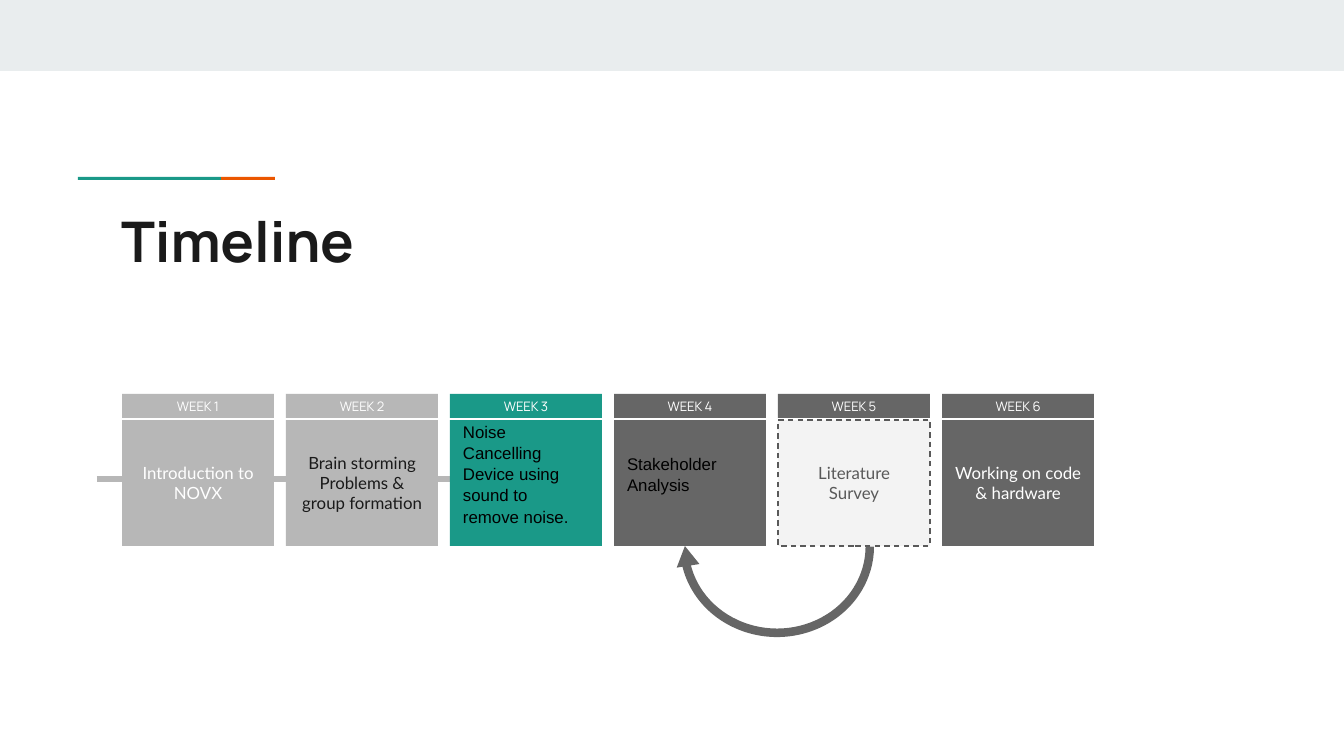
import dataclasses

import pptx
import pptx.dml.color
import pptx.enum.dml
import pptx.enum.shapes
import pptx.enum.text
import pptx.oxml.ns
import pptx.util
from lxml import etree

SHAPE = pptx.enum.shapes.MSO_SHAPE
ANCHOR = pptx.enum.text.MSO_ANCHOR
ALIGN = pptx.enum.text.PP_ALIGN

EMU_PER_PX = 914400 / 134.4
CARD_LEFT, CARD_PITCH, CARD_WIDTH = 122, 164, 152
HEADER_TOP, HEADER_HEIGHT = 394, 24
BODY_TOP, BODY_HEIGHT = 420, 126
INSET = 13


@dataclasses.dataclass(frozen=True)
class Theme:
    band: str = "E9EDEE"
    teal: str = "1A9988"
    orange: str = "EB5600"
    ink: str = "1A1A1A"
    black: str = "000000"
    white: str = "FFFFFF"
    light: str = "F3F3F3"
    silver: str = "B7B7B7"
    gray: str = "666666"
    slate: str = "595959"
    heading_font: str = "Manrope"
    body_font: str = "Lato"
    plain_font: str = "Arial"
    title_size: int = 30
    body_size: int = 9
    week_size: int = 7


THEME = Theme()


@dataclasses.dataclass(frozen=True)
class Week:
    text: str
    header_fill: str
    body_fill: str
    color: str
    plain: bool = False
    dashed: bool = False


WEEKS = (
    Week("Introduction to\nNOVX", THEME.silver, THEME.silver, THEME.white),
    Week("Brain storming Problems & group formation", THEME.silver, THEME.silver, THEME.ink),
    Week("Noise Cancelling Device using sound to remove noise.",
         THEME.teal, THEME.teal, THEME.black, plain=True),
    Week("Stakeholder Analysis", THEME.gray, THEME.gray, THEME.black, plain=True),
    Week("Literature Survey", THEME.gray, THEME.light, THEME.slate, dashed=True),
    Week("Working on code & hardware", THEME.gray, THEME.gray, THEME.white),
)


def px(n):
    return pptx.util.Emu(round(n * EMU_PER_PX))


def rgb(color):
    return pptx.dml.color.RGBColor.from_string(color)


def add_block(s, box, fill, kind=SHAPE.RECTANGLE):
    """Add a filled preset shape without outline or shadow."""
    sp = s.shapes.add_shape(kind, *map(px, box))
    sp.shadow.inherit = False
    sp.fill.solid()
    sp.fill.fore_color.rgb = rgb(fill)
    sp.line.fill.background()
    return sp


def set_text(sp, text, font, size, color, align=ALIGN.CENTER, anchor=ANCHOR.MIDDLE,
             insets=(INSET, 0, INSET, 0), bold=False, spacing=None):
    """Write text; insets run left, top, right, bottom."""
    tf = sp.text_frame
    tf.text = text
    tf.word_wrap = True
    tf.vertical_anchor = anchor
    tf.margin_left, tf.margin_top, tf.margin_right, tf.margin_bottom = map(px, insets)
    for p in tf.paragraphs:
        p.alignment = align
        p.line_spacing = spacing
        for r in p.runs:
            r.font.name = font
            r.font.size = pptx.util.Pt(size)
            r.font.bold = bold
            r.font.color.rgb = rgb(color)


def add_title(s, text):
    title = s.shapes.title
    title.left, title.top, title.width, title.height = map(px, (108, 194, 1130, 79))
    set_text(title, text, THEME.heading_font, THEME.title_size, THEME.ink,
             ALIGN.LEFT, ANCHOR.TOP, (INSET,) * 4, bold=True)


def add_timeline_line(s, start, end, y):
    line = s.shapes.add_connector(pptx.enum.shapes.MSO_CONNECTOR.STRAIGHT,
                                  px(start), px(y), px(end), px(y))
    line.line.color.rgb = rgb(THEME.silver)
    line.line.width = pptx.util.Pt(3)
    etree.SubElement(line._element.spPr, pptx.oxml.ns.qn("a:effectLst"))


def add_week(s, index, week):
    left = CARD_LEFT + index * CARD_PITCH
    body = add_block(s, (left, BODY_TOP, CARD_WIDTH, BODY_HEIGHT), week.body_fill)
    if week.dashed:
        body.line.color.rgb = rgb(THEME.slate)
        body.line.width = pptx.util.Pt(0.75)
        body.line.dash_style = pptx.enum.dml.MSO_LINE.DASH
    if week.plain:
        set_text(body, week.text, THEME.plain_font, THEME.body_size, week.color,
                 ALIGN.LEFT, insets=(INSET, 0, 16, 19), spacing=1.05)
    else:
        set_text(body, week.text, THEME.body_font, THEME.body_size, week.color)
    header = add_block(s, (left, HEADER_TOP, CARD_WIDTH, HEADER_HEIGHT), week.header_fill)
    set_text(header, f"WEEK {index + 1}", THEME.heading_font, THEME.week_size, THEME.white)


def add_return_arrow(s):
    """Curve back from week 5 to week 4."""
    arc = add_block(s, (680, 456, 194, 181), THEME.gray, SHAPE.BLOCK_ARC)
    arc.rotation = 180
    for i, value in enumerate((108, 211.46, 0.047)):
        arc.adjustments[i] = value
    head = add_block(s, (675, 546, 23, 20), THEME.gray, SHAPE.ISOSCELES_TRIANGLE)
    head.rotation = 351


def main():
    prs = pptx.Presentation()
    prs.slide_width, prs.slide_height = px(1344), px(756)
    s = prs.slides.add_slide(prs.slide_layouts[5])
    add_block(s, (0, 0, 1344, 71), THEME.band)
    add_block(s, (78, 177, 143, 3), THEME.teal)
    add_block(s, (221, 177, 54, 3), THEME.orange)
    add_timeline_line(s, 97, 570, 479)
    add_title(s, "Timeline")
    for index, week in enumerate(WEEKS):
        add_week(s, index, week)
    add_return_arrow(s)
    prs.save("out.pptx")


if __name__ == "__main__":
    main()
